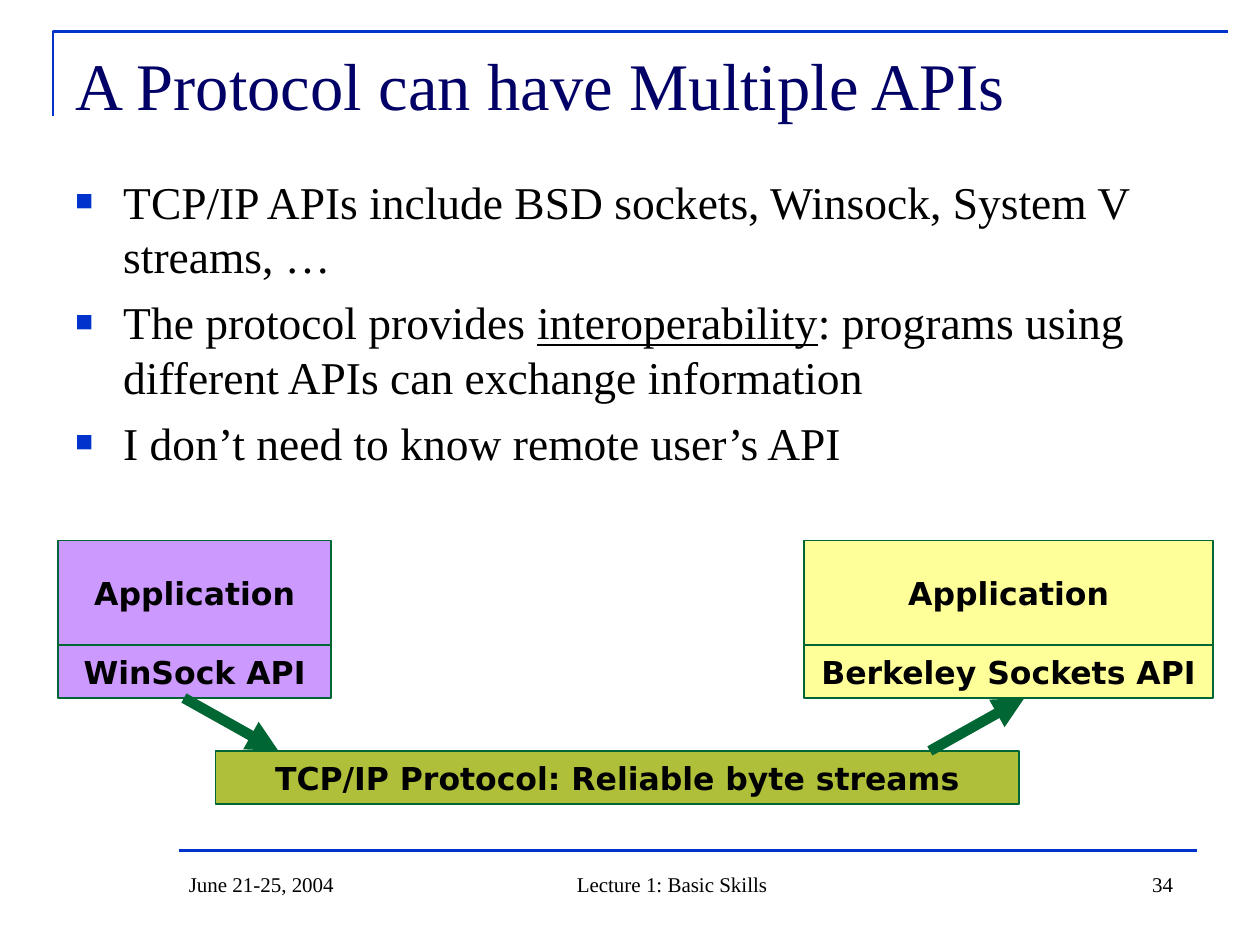
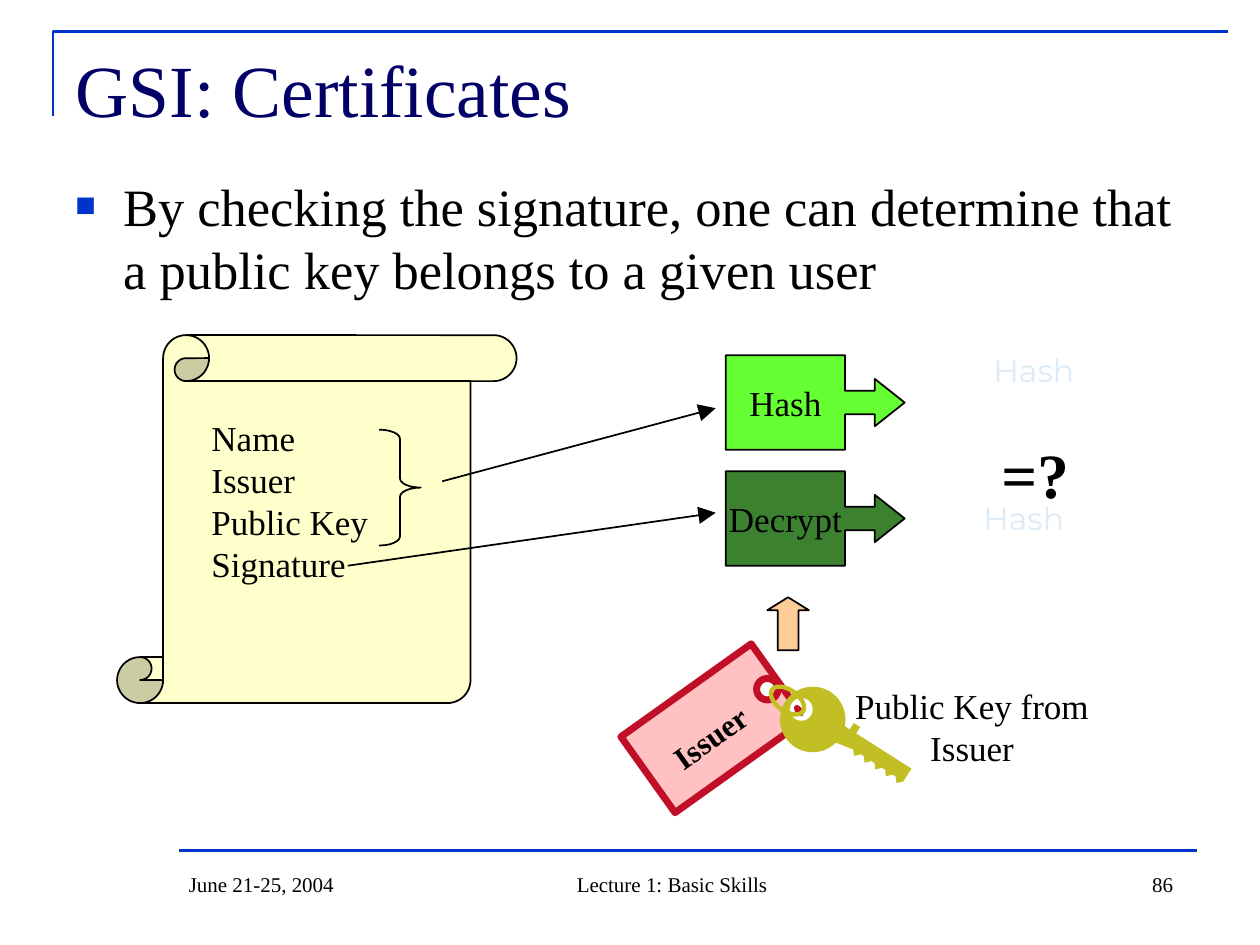
from lxml import etree
from pptx import Presentation
from pptx import util as u
from pptx.dml.color import RGBColor
from pptx.enum import shapes, text
from pptx.oxml.ns import qn

BLUE = RGBColor(0x00, 0x33, 0xCC)
NAVY = RGBColor(0x00, 0x00, 0x66)
BLACK = RGBColor(0x00, 0x00, 0x00)
WHITE = RGBColor(0xFF, 0xFF, 0xFF)
GREEN = RGBColor(0x00, 0x66, 0x33)
OLIVE = RGBColor(0xAF, 0xBF, 0x39)
PURPLE = RGBColor(0xCC, 0x99, 0xFF)
YELLOW = RGBColor(0xFF, 0xFF, 0x99)
PARCHMENT = RGBColor(0xFF, 0xFF, 0xCC)
PEACH = RGBColor(0xFF, 0xCC, 0x99)
LIME = RGBColor(0x66, 0xFF, 0x33)
FOREST = RGBColor(0x3B, 0x81, 0x2F)
PALE_BLUE = RGBColor(0xDC, 0xEB, 0xF5)
GOLD = RGBColor(0xC1, 0xBF, 0x23)
RED = RGBColor(0xC1, 0x0F, 0x28)
PINK = RGBColor(0xFF, 0xC1, 0xC1)
SERIF, SANS, LABEL = "Times New Roman", "DejaVu Sans", "Montserrat"
LEFT, CENTER, RIGHT = text.PP_ALIGN.LEFT, text.PP_ALIGN.CENTER, text.PP_ALIGN.RIGHT
TOP, MIDDLE, BOTTOM = text.MSO_ANCHOR.TOP, text.MSO_ANCHOR.MIDDLE, text.MSO_ANCHOR.BOTTOM
KIND = shapes.MSO_SHAPE
STRAIGHT = shapes.MSO_CONNECTOR.STRAIGHT
HUNDREDTH = u.Inches(0.01)


def write(box, lines, size, color=BLACK, font=SERIF, bold=False,
          align=LEFT, anchor=TOP, wrap=False):
    frame = box.text_frame
    frame.auto_size = text.MSO_AUTO_SIZE.NONE
    frame.word_wrap = wrap
    frame.vertical_anchor = anchor
    for number, spans in enumerate(lines):
        para = frame.add_paragraph() if number else frame.paragraphs[0]
        para.alignment = align
        for words in spans:
            span = para.add_run()
            span.text = words
            span.font.size = u.Pt(size)
            span.font.name = font
            span.font.bold = bold
            span.font.color.rgb = color


def style(item, line=None, width=1, fill=None, head=None):
    if fill is not None:
        item.fill.solid()
        item.fill.fore_color.rgb = fill
    elif hasattr(item, "fill"):
        item.fill.background()
    if line is None:
        item.line.fill.background()
    else:
        item.line.color.rgb = line
        item.line.width = u.Pt(width)
    if head:
        etree.SubElement(item.line._get_or_add_ln(), qn("a:tailEnd"),
                         type="triangle", w=head, len=head)
    etree.SubElement(item._element.spPr, qn("a:effectLst"))


deck = Presentation()
deck.slide_width, deck.slide_height = u.Inches(10), u.Inches(7.5)

contents = [
    ("A Protocol can have Multiple APIs", 38, "34", 26, [
        ["TCP/IP APIs include BSD sockets, Winsock, System V streams, …"],
        ["The protocol provides ", "interoperability",
         ": programs using different APIs can exchange information"],
        ["I don’t need to know remote user’s API"]]),
    ("GSI: Certificates", 42, "86", 30, [
        ["By checking the signature, one can determine that a public key "
         "belongs to a given user"]]),
]
pages, bodies = [], []
for heading, heading_size, page_number, body_size, points in contents:
    page = deck.slides.add_slide(deck.slide_layouts[5])
    pages.append(page)

    corner = page.shapes.build_freeform(42, 92, scale=HUNDREDTH)
    corner.add_line_segments([(42, 25), (975, 25)], close=False)
    style(corner.convert_to_shape(), BLUE, 1.5)
    footer_rule = page.shapes.add_connector(
        STRAIGHT, u.Inches(1.42), u.Inches(6.75), u.Inches(9.5), u.Inches(6.75))
    style(footer_rule, BLUE, 1.5)

    title = page.shapes.title
    title.left, title.top = u.Inches(0.5), u.Inches(0.3)
    title.width, title.height = u.Inches(8.58), u.Inches(0.95)
    write(title, [[heading]], heading_size, NAVY, wrap=True)

    body = page.shapes.add_textbox(
        u.Inches(0.5), u.Inches(1.33), u.Inches(9), u.Inches(5.37))
    write(body, points, body_size, wrap=True)
    bodies.append(body)
    for number, para in enumerate(body.text_frame.paragraphs):
        props = para._p.get_or_add_pPr()
        props.set("marL", str(u.Inches(0.38)))
        props.set("indent", str(u.Inches(-0.38)))
        bullet_color = etree.SubElement(props, qn("a:buClr"))
        etree.SubElement(bullet_color, qn("a:srgbClr"), val=str(BLUE))
        etree.SubElement(props, qn("a:buSzPct"), val="65000")
        etree.SubElement(props, qn("a:buFont"), typeface=SERIF)
        etree.SubElement(props, qn("a:buChar"), char="■")
        if number:
            para.space_before = u.Pt(body_size / 4)

    for left, width, words, align in [
            (1.4, 2.27, "June 21-25, 2004", LEFT),
            (3.75, 3.17, "Lecture 1: Basic Skills", CENTER),
            (7.08, 2.33, page_number, RIGHT)]:
        footer = page.shapes.add_textbox(
            u.Inches(left), u.Inches(6.83), u.Inches(width), u.Inches(0.34))
        write(footer, [[words]], 12, align=align, anchor=BOTTOM, wrap=True)

protocol_page, certificate_page = pages
bodies[0].text_frame.paragraphs[1].runs[1].font.underline = True

app_top, app_height, layer_height = 4.29, 0.83, 0.42
layers = [(1.71, 5.96, 6.38, layer_height, OLIVE, "TCP/IP Protocol: Reliable byte streams")]
for left, width, fill, api in [(0.46, 2.17, PURPLE, "WinSock API"),
                               (6.38, 3.25, YELLOW, "Berkeley Sockets API")]:
    layers.append((left, app_top, width, app_height, fill, "Application"))
    layers.append((left, app_top + app_height, width, layer_height, fill, api))
for left, top, width, height, fill, words in layers:
    layer = protocol_page.shapes.add_shape(
        KIND.RECTANGLE, u.Inches(left), u.Inches(top), u.Inches(width), u.Inches(height))
    style(layer, GREEN, 1, fill)
    write(layer, [[words]], 18, font=SANS, bold=True, align=CENTER, anchor=MIDDLE)

for kind, left, top, width, height, adjustments, fill, line in [
        (KIND.VERTICAL_SCROLL, 0.93, 2.66, 3.17, 2.92, [0.125], PARCHMENT, BLACK),
        (KIND.UP_ARROW, 6.09, 4.74, 0.33, 0.42, [0.5, 0.312], PEACH, BLACK),
        (KIND.RIGHT_BRACE, 3.01, 3.41, 0.33, 0.92, [0.22, 0.5], None, BLACK)]:
    figure = certificate_page.shapes.add_shape(
        kind, u.Inches(left), u.Inches(top), u.Inches(width), u.Inches(height))
    for index, value in enumerate(adjustments):
        figure.adjustments[index] = value
    style(figure, line, 1, fill)

for top, fill, action in [(2.82, LIME, "Hash"), (3.74, FOREST, "Decrypt")]:
    callout = certificate_page.shapes.add_shape(
        KIND.RIGHT_ARROW_CALLOUT, u.Inches(5.76), u.Inches(top), u.Inches(1.42), u.Inches(0.75))
    for index, value in enumerate([0.25, 0.25, 0.315, 0.667]):
        callout.adjustments[index] = value
    style(callout, BLACK, 1, fill)
    write(callout, [[action]], 20, align=CENTER, anchor=MIDDLE)

for page, x1, y1, x2, y2, color, width, head in [
        (protocol_page, 1.46, 5.54, 2.21, 5.96, GREEN, 6, "med"),
        (protocol_page, 7.38, 5.96, 8.13, 5.54, GREEN, 6, "med"),
        (certificate_page, 3.51, 3.82, 5.68, 3.24, BLACK, 1, "lg"),
        (certificate_page, 2.76, 4.49, 5.68, 4.07, BLACK, 1, "lg")]:
    arrow = page.shapes.add_connector(
        STRAIGHT, u.Inches(x1), u.Inches(y1), u.Inches(x2), u.Inches(y2))
    style(arrow, color, width, head=head)

key_tag = certificate_page.shapes.add_group_shape()
tag = (KIND.RECTANGLE, 5.66, 5.78, 1.27, 0.74, -35.5, PINK, RED, 4)
tag_hole = (KIND.OVAL, 6.09, 5.47, 0.17, 0.17, 0, WHITE, RED, 4)
key_head = (KIND.OVAL, 6.45, 5.71, 0.52, 0.52, 0, GOLD, None, 0)
key_hole = (KIND.OVAL, 6.36, 5.63, 0.18, 0.18, 0, WHITE, None, 0)
tag_edge = (KIND.OVAL, 6.34, 5.64, 0.06, 0.1, -35.5, RED, None, 0)
key_ring = (KIND.OVAL, 6.25, 5.56, 0.3, 0.17, 35, None, GOLD, 2.5)
for kind, center_x, center_y, width, height, turn, fill, line, weight in [
        tag, tag_hole, key_head, key_hole, tag_edge, key_ring]:
    part = key_tag.shapes.add_shape(
        kind, u.Inches(center_x - width / 2), u.Inches(center_y - height / 2),
        u.Inches(width), u.Inches(height))
    part.rotation = turn
    style(part, line, weight, fill)

blade_length, tooth_width, tooth_count = 68, 10, 5
collar = [(10, 6), (10, 0), (16, 0), (16, 6)]
teeth = []
for tooth in range(tooth_count):
    tooth_right = blade_length - tooth * tooth_width
    teeth += [(tooth_right, 18), (tooth_right - 4, 22), (tooth_right - 7, 18)]
blade = key_tag.shapes.build_freeform(0, 6, scale=HUNDREDTH)
blade.add_line_segments(collar + [(blade_length, 6)] + teeth + [(0, 22)], close=True)
key_blade = blade.convert_to_shape(u.Inches(6.58), u.Inches(5.85))
key_blade.rotation = 32.5
style(key_blade, fill=GOLD)

certificate_fields = [["Name"], ["Issuer"], ["Public Key"], ["Signature"]]
for left, top, width, height, lines, size, color, font, bold, align, turn in [
        (1.58, 3.26, 1.44, 1.44, certificate_fields, 20, BLACK, SERIF, False, LEFT, 0),
        (7.51, 2.74, 1.39, 0.71, [["Hash"]], 18, PALE_BLUE, LABEL, False, CENTER, 0),
        (7.43, 3.91, 1.39, 0.71, [["Hash"]], 18, PALE_BLUE, LABEL, False, CENTER, 0),
        (7.85, 3.41, 0.73, 0.7, [["=?"]], 36, BLACK, SERIF, True, LEFT, 0),
        (6.69, 5.38, 2.05, 0.77, [["Public Key from"], ["Issuer"]],
         20, BLACK, SERIF, False, CENTER, 0),
        (5.21, 5.65, 0.85, 0.4, [["Issuer"]], 18, BLACK, SERIF, True, LEFT, 324.5)]:
    label = certificate_page.shapes.add_textbox(
        u.Inches(left), u.Inches(top), u.Inches(width), u.Inches(height))
    label.rotation = turn
    write(label, lines, size, color, font, bold, align)

deck.save("out.pptx")
